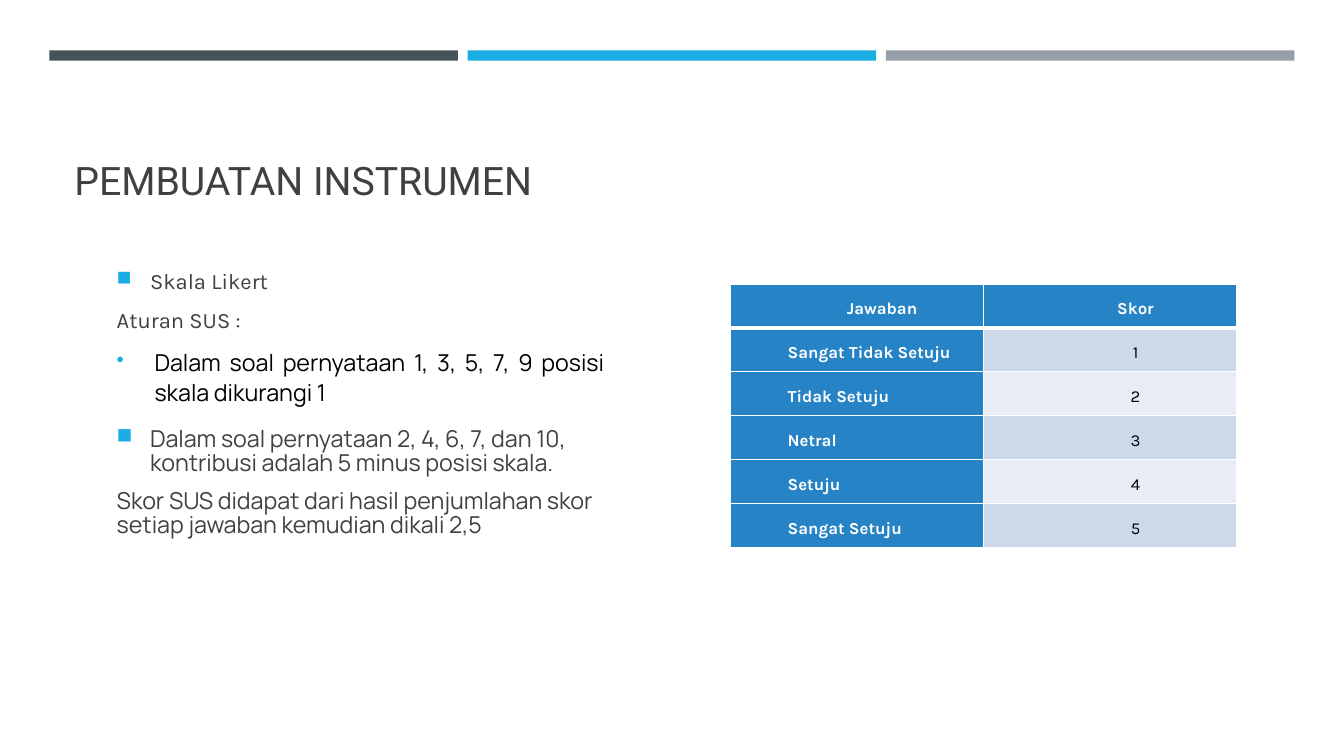
from lxml import etree
from pptx import Presentation
from pptx.dml.color import RGBColor
from pptx.enum.shapes import MSO_SHAPE
from pptx.enum.text import MSO_ANCHOR, PP_ALIGN
from pptx.oxml.ns import qn
from pptx.util import Pt

RECT = MSO_SHAPE.RECTANGLE
MIDDLE, BOTTOM = MSO_ANCHOR.MIDDLE, MSO_ANCHOR.BOTTOM
LEFT, CENTER, JUSTIFY = PP_ALIGN.LEFT, PP_ALIGN.CENTER, PP_ALIGN.JUSTIFY

THEME = {
    "bars": ("465359", "1CADE4", "969FA7"),
    "accent": "1CADE4", "text": "404040", "black": "000000", "white": "FFFFFF",
    "header": "2683C6", "bands": ("CDD9EA", "E8EDF5"),
    "title_font": "Roboto", "label_font": "Karla", "body_font": "Manrope",
    "title_size": 28, "label_size": 15.7, "body_size": 16.6, "table_size": 12,
}

LABEL = dict(font=THEME["label_font"], size=THEME["label_size"], before=3.3, after=6)
BODY = dict(font=THEME["body_font"], size=THEME["body_size"], before=3.3, after=6,
            spacing=0.88)
RULE = {**BODY, "color": THEME["black"], "align": JUSTIFY, "after": 12, "spacing": 1.07}

TITLE = "PEMBUATAN INSTRUMEN"
RULES = [
    ("Skala Likert", dict(LABEL, bullet="■", indent=23.8)),
    ("Aturan SUS :", LABEL),
    ("Dalam soal pernyataan 1, 3, 5, 7, 9 posisi skala dikurangi 1",
     dict(RULE, bullet="•", indent=27)),
    ("Dalam soal pernyataan 2, 4, 6, 7, dan 10, kontribusi adalah 5 minus posisi skala.",
     dict(BODY, bullet="■", indent=23.8)),
    ("Skor SUS didapat dari hasil penjumlahan skor setiap jawaban kemudian dikali 2,5", BODY),
]
SCORES = [
    ("Jawaban", "Skor"),
    ("Sangat Tidak Setuju", "1"),
    ("Tidak Setuju", "2"),
    ("Netral", "3"),
    ("Setuju", "4"),
    ("Sangat Setuju", "5"),
]

BAR_LEFT, BAR_TOP, BAR_W, BAR_H, BAR_STEP = 35.3, 36, 291.8, 7.4, 298.8
TITLE_BOX = (46.1, 55.4, 868.3, 93.6)
RULES_BOX = (76.3, 175.7, 362.2, 224.6)
TABLE_LEFT, TABLE_TOP, COL_W, ROW_H = 521.6, 202.8, 181, 31.4


def rgb(value):
    return RGBColor.from_string(value)


def write(p, text, *, font, size, color=THEME["text"], bold=False, align=LEFT,
          spacing=1.0, before=0, after=0, bullet=None, indent=0):
    p.alignment = align
    p.line_spacing = spacing
    p.space_before, p.space_after = Pt(before), Pt(after)
    pPr = p._p.get_or_add_pPr()
    pPr.set("marL", str(Pt(indent)))
    if bullet:
        pPr.set("indent", str(-Pt(indent)))
        clr = etree.SubElement(pPr, qn("a:buClr"))
        etree.SubElement(clr, qn("a:srgbClr"), val=THEME["accent"])
        etree.SubElement(pPr, qn("a:buSzPct"), val="92000")
        etree.SubElement(pPr, qn("a:buChar"), char=bullet)
    r = p.add_run()
    r.text = text
    r.font.name, r.font.size, r.font.bold = font, Pt(size), bold
    r.font.color.rgb = rgb(color)


def add_text(s, box, paragraphs, anchor):
    tf = s.shapes.add_textbox(*map(Pt, box)).text_frame
    tf.word_wrap = True
    tf.vertical_anchor = anchor
    for i, (text, style) in enumerate(paragraphs):
        write(tf.add_paragraph() if i else tf.paragraphs[0], text, **style)


def add_borders(cell, top, bottom):
    tcPr = cell._tc.get_or_add_tcPr()
    for side, width in (("L", 1), ("R", 1), ("T", top), ("B", bottom)):
        ln = etree.SubElement(tcPr, qn("a:ln" + side), w=str(Pt(width)))
        fill = etree.SubElement(ln, qn("a:solidFill"))
        etree.SubElement(fill, qn("a:srgbClr"), val=THEME["white"])


def add_bars(s):
    for i, color in enumerate(THEME["bars"]):
        bar = s.shapes.add_shape(RECT, Pt(BAR_LEFT + i * BAR_STEP), Pt(BAR_TOP),
                                 Pt(BAR_W), Pt(BAR_H))
        bar.shadow.inherit = False
        bar.fill.solid()
        bar.fill.fore_color.rgb = rgb(color)
        bar.line.fill.background()


def add_scores(s):
    rows, cols = len(SCORES), len(SCORES[0])
    table = s.shapes.add_table(rows, cols, Pt(TABLE_LEFT), Pt(TABLE_TOP),
                               Pt(cols * COL_W), Pt(rows * ROW_H)).table
    table.first_row = table.horz_banding = False
    for col in table.columns:
        col.width = Pt(COL_W)
    for i, row in enumerate(SCORES):
        table.rows[i].height = Pt(ROW_H)
        for j, text in enumerate(row):
            cell = table.cell(i, j)
            heading = i == 0 or j == 0
            add_borders(cell, 3 if i == 1 else 1, 3 if i == 0 else 1)
            cell.fill.solid()
            cell.fill.fore_color.rgb = rgb(
                THEME["header"] if heading else THEME["bands"][(i - 1) % 2])
            cell.vertical_anchor = MIDDLE
            cell.margin_left = cell.margin_right = Pt(5)
            cell.margin_top = cell.margin_bottom = Pt(0)
            write(cell.text_frame.paragraphs[0], text, font=THEME["label_font"],
                  size=THEME["table_size"], bold=heading, spacing=1.3, indent=36,
                  color=THEME["white"] if heading else THEME["black"],
                  align=LEFT if i and j == 0 else CENTER)


def main():
    prs = Presentation()
    prs.slide_width, prs.slide_height = Pt(960), Pt(540)
    s = prs.slides.add_slide(prs.slide_layouts[6])
    add_bars(s)
    title_style = dict(font=THEME["title_font"], size=THEME["title_size"], spacing=0.9)
    add_text(s, TITLE_BOX, [(TITLE, title_style)], BOTTOM)
    add_text(s, RULES_BOX, RULES, MIDDLE)
    add_scores(s)
    prs.save("out.pptx")


if __name__ == "__main__":
    main()
